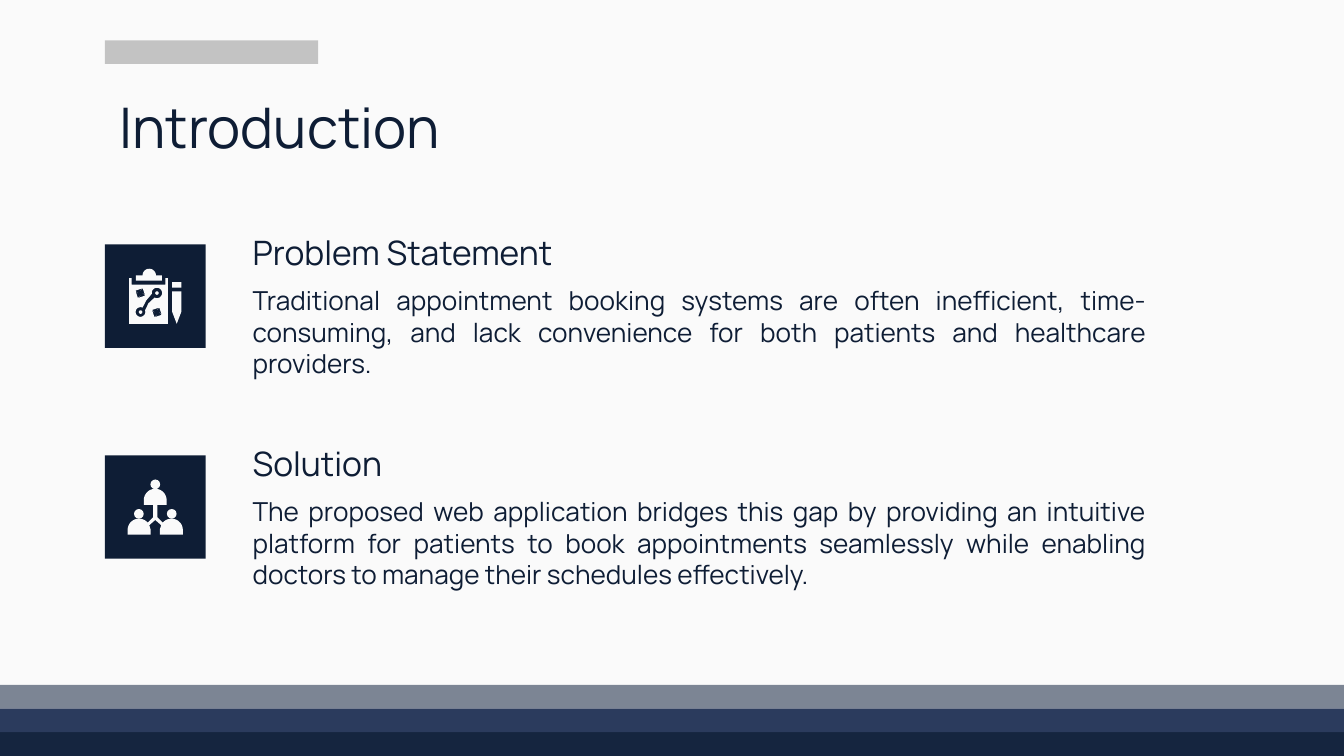
from math import cos, radians, sin

from pptx import Presentation
from pptx.dml.color import RGBColor
from pptx.enum.shapes import MSO_SHAPE
from pptx.enum.text import MSO_ANCHOR, PP_ALIGN
from pptx.util import Pt

NAVY = "0E1D35"
PAPER = "FAFAFA"


def paint(fill, color):
    """Give a fill one solid hex colour."""
    fill.solid()
    fill.fore_color.rgb = RGBColor.from_string(color)


def finish(shape, color):
    """Leave a shape flat, borderless and filled."""
    paint(shape.fill, color)
    shape.line.fill.background()
    shape.shadow.inherit = False


def add_block(slide, left, top, width, height, color, kind=MSO_SHAPE.RECTANGLE):
    """Place a filled preset shape."""
    finish(slide.shapes.add_shape(kind, Pt(left), Pt(top), Pt(width), Pt(height)), color)


def add_dot(slide, x, y, radius):
    """Place a small disc around its centre."""
    add_block(slide, x - radius, y - radius, 2 * radius, 2 * radius, PAPER, MSO_SHAPE.OVAL)


def add_outline(slide, left, top, *contours):
    """Place one outline whose inner contours are holes."""
    placed = [[(Pt(left + x), Pt(top + y)) for x, y in contour] for contour in contours]
    builder = slide.shapes.build_freeform(*placed[0][0])
    builder.add_line_segments(placed[0][1:])
    for contour in placed[1:]:
        builder.move_to(*contour[0])
        builder.add_line_segments(contour[1:])
    finish(builder.convert_to_shape(), PAPER)


def arc(x, y, radius, start, end, steps=16):
    """Return points along an arc, with angles clockwise from the right."""
    angles = [radians(start + (end - start) * i / steps) for i in range(steps + 1)]
    return [(x + radius * cos(a), y + radius * sin(a)) for a in angles]


def cross(x, y):
    """Return the outline of a diagonal cross."""
    offsets = [(0, -1.3), (1.3, -2.6), (2.6, -1.3)]
    points = []
    for _ in range(4):
        points += offsets[:2]
        offsets = [(-dy, dx) for dx, dy in offsets]
        points.append(offsets[1])
    return [(x + dx, y + dy) for dx, dy in points]


def add_plan_icon(slide, left, top):
    """Draw a clipboard with a route plan and a pencil."""
    board = [(13, 18), (13, 42.5), (33.8, 42.5), (33.8, 18), (32.4, 18),
             (32.4, 21.6), (14.4, 21.6), (14.4, 18), (13, 18)]
    route = (arc(27.9, 26, 2.8, 170, 477) + [(23.4, 31.5)]
             + arc(19.1, 36.2, 2.6, -20, 295) + [(22.2, 30)])
    clip = [(16.6, 19.4), (16.6, 16.6), *arc(23.8, 16.6, 3.6, 180, 360),
            (30.6, 16.6), (30.6, 19.4)]
    pencil = [(36, 25.2), (36, 36), (38.5, 42.5), (41, 36), (41, 25.2)]
    add_outline(slide, left, top, board, route, cross(19, 26.1), cross(27.9, 36.4))
    add_outline(slide, left, top, clip)
    add_outline(slide, left, top, pencil)
    add_block(slide, left + 36, top + 20.2, 5, 2.9, PAPER)
    for x, y in [(27.9, 26), (19.1, 36.2)]:
        add_dot(slide, left + x, top + y, 0.95)


def add_team_icon(slide, left, top):
    """Draw three linked people, symmetric about the middle."""
    middle = 27
    half = (arc(middle, 24, 6.1, 270, 180)
            + [(20.9, 26.6), (25.9, 26.6), (25.9, 33.1), (23, 36)]
            + arc(18.3, 40, 6.1, -48, -180)
            + [(12.2, 42.5), (24.5, 42.5), (24.5, 39.6), (23.8, 37.4), (middle, 34.6)])
    mirrored = [(2 * middle - x, y) for x, y in reversed(half)]
    add_outline(slide, left, top, half + mirrored)
    for x, y in [(middle, 15.5), (middle - 8.8, 31.3), (middle + 8.8, 31.3)]:
        add_dot(slide, left + x, top + y, 2.6)


def add_copy(slide, left, top, width, height, words, size,
             anchor=MSO_ANCHOR.TOP, align=PP_ALIGN.LEFT, spacing=None):
    """Place one wrapped paragraph."""
    frame = slide.shapes.add_textbox(Pt(left), Pt(top), Pt(width), Pt(height)).text_frame
    frame.word_wrap = True
    frame.vertical_anchor = anchor
    frame.margin_left = frame.margin_right = Pt(7.2)
    frame.margin_top = frame.margin_bottom = Pt(7.2)
    frame.text = words
    paragraph = frame.paragraphs[0]
    paragraph.alignment = align
    paragraph.line_spacing = spacing
    font = paragraph.runs[0].font
    font.name = "Manrope"
    font.size = Pt(size)
    font.color.rgb = RGBColor.from_string(NAVY)


def add_topic(slide, left, top, heading, body, draw_icon):
    """Place an icon tile beside a heading and its explanation."""
    add_block(slide, left, top, 54, 55.4, NAVY)
    draw_icon(slide, left, top)
    add_copy(slide, left + 72, top - 5.8, 493.2, 28.1, heading, 18, MSO_ANCHOR.BOTTOM)
    add_copy(slide, left + 72, top + 14.4, 493.2, 55.4, body, 14, align=PP_ALIGN.JUSTIFY)


def add_footer(slide, width, bottom):
    """Stack the footer bands upwards from the slide's bottom edge."""
    band = 12.7
    for row, color in enumerate(["15253F", "2B3B5D", "7C8594"], 1):
        add_block(slide, 0, bottom - row * band, width, band, color)


def main():
    """Build the introduction slide."""
    deck = Presentation()
    deck.slide_width, deck.slide_height = Pt(720), Pt(405)
    slide = deck.slides.add_slide(deck.slide_layouts[6])
    paint(slide.background.fill, PAPER)
    add_footer(slide, 720, 405)
    add_block(slide, 56.2, 21.6, 114.2, 12.7, "C3C3C3")
    add_copy(slide, 56.9, 42.5, 607, 45.4, "Introduction", 30)
    topics = [
        ("Problem Statement",
         "Traditional appointment booking systems are often inefficient, time-consuming, "
         "and lack convenience for both patients and healthcare providers.", add_plan_icon),
        ("Solution",
         "The proposed web application bridges this gap by providing an intuitive platform "
         "for patients to book appointments seamlessly while enabling doctors to manage "
         "their schedules effectively.", add_team_icon),
    ]
    for row, (heading, body, draw_icon) in enumerate(topics):
        add_topic(slide, 56.2, 131 + row * 113, heading, body, draw_icon)
    deck.save("out.pptx")


if __name__ == "__main__":
    main()
